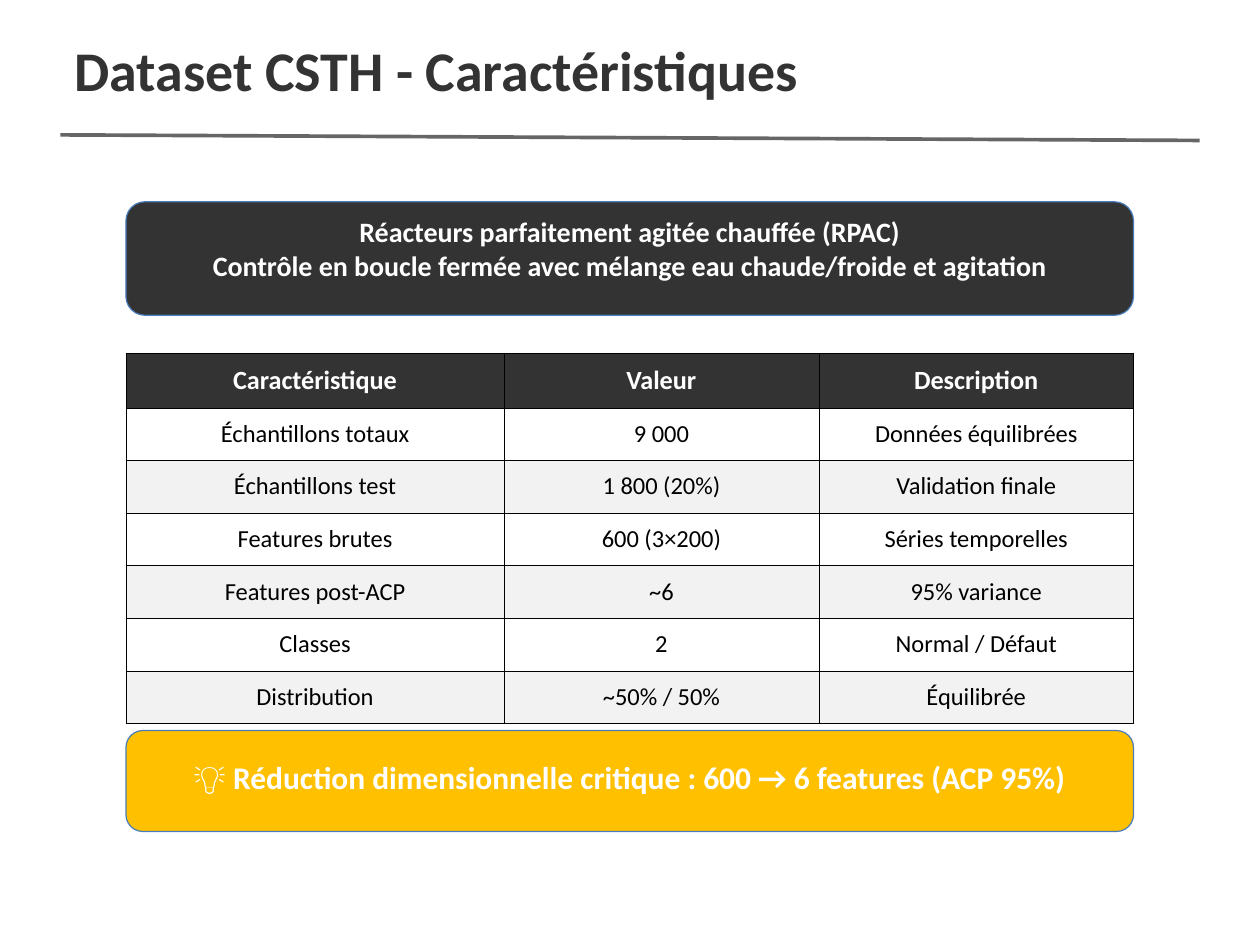
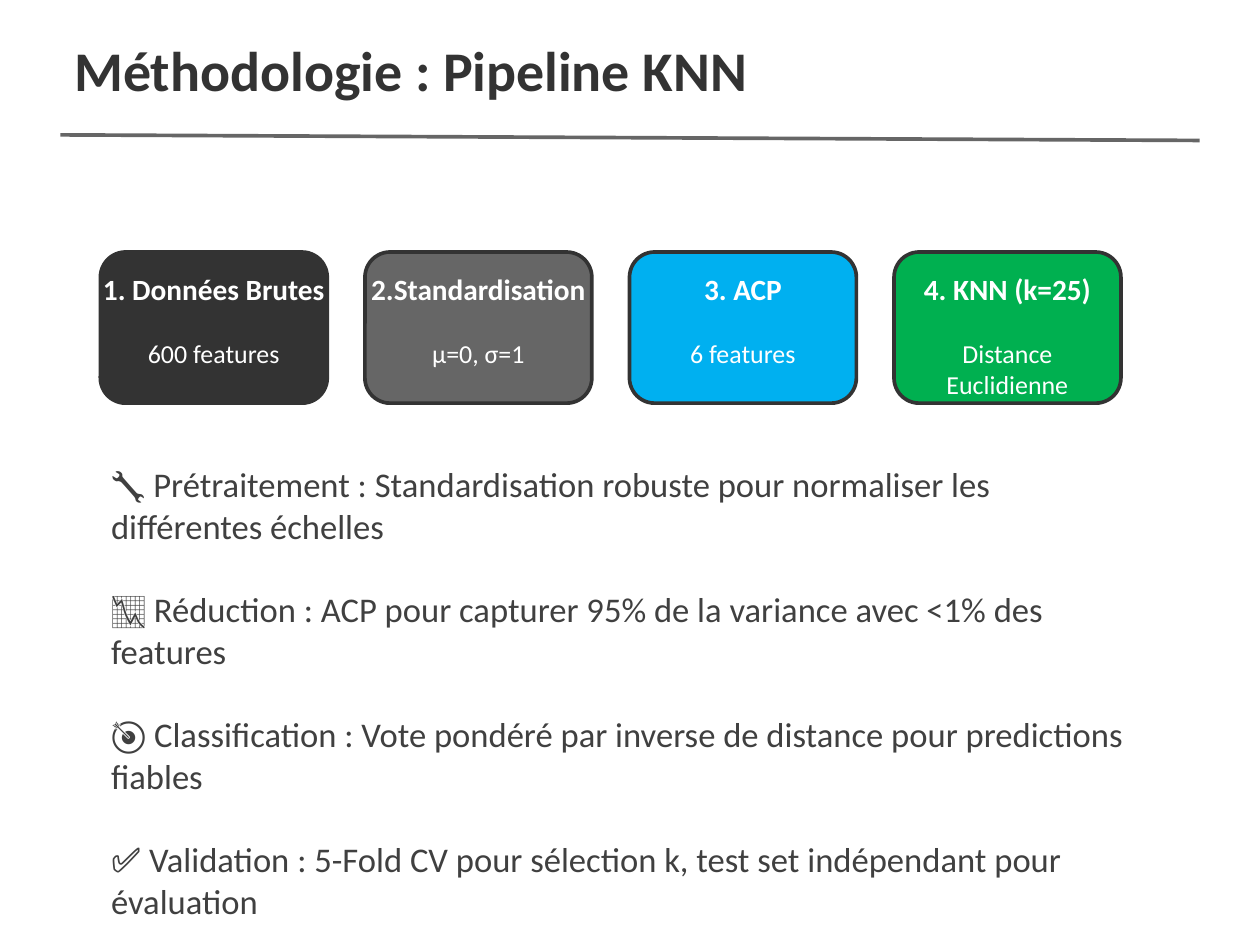
import pptx
import pptx.dml.color
import pptx.enum.shapes
import pptx.enum.text
import pptx.oxml.ns
import pptx.util
from lxml import etree

Cm = pptx.util.Cm
Pt = pptx.util.Pt
RGBColor = pptx.dml.color.RGBColor
CENTER = pptx.enum.text.PP_ALIGN.CENTER
LEFT = pptx.enum.text.PP_ALIGN.LEFT

DARK = RGBColor(0x33, 0x33, 0x33)
GREY = RGBColor(0x66, 0x66, 0x66)
BODY_GREY = RGBColor(0x40, 0x40, 0x40)
BAND_GREY = RGBColor(0xF2, 0xF2, 0xF2)
OUTLINE_BLUE = RGBColor(0x4A, 0x7E, 0xBB)
AMBER = RGBColor(0xFF, 0xC0, 0x00)
SKY = RGBColor(0x00, 0xB0, 0xF0)
GREEN = RGBColor(0x00, 0xB0, 0x50)
WHITE = RGBColor(0xFF, 0xFF, 0xFF)
BLACK = RGBColor(0x00, 0x00, 0x00)


def text_style(size, color, line_spacing, bold=False, alignment=CENTER):
    return {
        "font": {"name": "Calibri", "size": Pt(size), "bold": bold},
        "color": color,
        "paragraph": {"alignment": alignment, "line_spacing": Pt(line_spacing)},
    }


TITLE = text_style(34.1, DARK, 41, True, LEFT)
INTRO = text_style(17.1, WHITE, 20.5, True)
TAKEAWAY = text_style(19.2, WHITE, 23, True)
TABLE_HEADER = text_style(16, WHITE, 19.2, True)
TABLE_BODY = text_style(14.9, BLACK, 17.9)
STEP_HEADING = text_style(17.9, WHITE, 21.5, True)
STEP_DETAIL = text_style(15.8, WHITE, 18.9)
NOTES = text_style(21.1, BODY_GREY, 25.4, alignment=LEFT)

CHARACTERISTICS = [
    ("Caractéristique", "Valeur", "Description"),
    ("Échantillons totaux", "9 000", "Données équilibrées"),
    ("Échantillons test", "1 800 (20%)", "Validation finale"),
    ("Features brutes", "600 (3×200)", "Séries temporelles"),
    ("Features post-ACP", "~6", "95% variance"),
    ("Classes", "2", "Normal / Défaut"),
    ("Distribution", "~50% / 50%", "Équilibrée"),
]

STEPS = [
    ("1. Données Brutes", "600 features", DARK, 4.9, 0.71),
    ("2.Standardisation", "μ=0, σ=1", GREY, 5.08, 0.71),
    ("3. ACP", "6 features", SKY, 3.84, 0.71),
    ("4. KNN (k=25)", "Distance Euclidienne", GREEN, 3.84, 1.37),
]

METHOD_NOTES = [
    "🔧 Prétraitement : Standardisation robuste pour normaliser les différentes échelles",
    "📉 Réduction : ACP pour capturer 95% de la variance avec <1% des features",
    "🎯 Classification : Vote pondéré par inverse de distance pour predictions fiables",
    "✅ Validation : 5-Fold CV pour sélection k, test set indépendant pour évaluation",
]


def apply_values(target, values):
    for name, value in values.items():
        setattr(target, name, value)


def write_paragraphs(frame, lines, style, gap=0):
    for index, line in enumerate(lines):
        paragraph = frame.add_paragraph() if index else frame.paragraphs[0]
        run = paragraph.add_run()
        run.text = line
        apply_values(paragraph, style["paragraph"])
        apply_values(run.font, style["font"])
        run.font.color.rgb = style["color"]
        if index and gap:
            paragraph.space_before = Pt(gap)


def add_text(slide, left, top, width, height, lines, style, gap=0):
    box = slide.shapes.add_textbox(Cm(left), Cm(top), Cm(width), Cm(height))
    frame = box.text_frame
    apply_values(frame, {
        "word_wrap": True, "margin_left": 0, "margin_right": 0,
        "margin_top": 0, "margin_bottom": 0,
    })
    write_paragraphs(frame, lines, style, gap)


def add_rounded_box(slide, left, top, width, height, fill, outline, line_width):
    shape = slide.shapes.add_shape(
        pptx.enum.shapes.MSO_SHAPE.ROUNDED_RECTANGLE,
        Cm(left), Cm(top), Cm(width), Cm(height))
    shape.shadow.inherit = False
    shape.fill.solid()
    shape.fill.fore_color.rgb = fill
    shape.line.color.rgb = outline
    shape.line.width = Pt(line_width)


def add_titled_slide(presentation, title):
    slide = presentation.slides.add_slide(presentation.slide_layouts[6])
    add_text(slide, 1.6, 0.76, 23.88, 2.11, [title], TITLE)
    rule = slide.shapes.add_connector(
        pptx.enum.shapes.MSO_CONNECTOR.STRAIGHT,
        Cm(1.3), Cm(2.9), Cm(25.8), Cm(3.02))
    rule.line.color.rgb = GREY
    rule.line.width = Pt(2.25)
    properties = rule._element.spPr
    etree.SubElement(properties, pptx.oxml.ns.qn("a:effectLst"))
    return slide


def add_cell_borders(cell):
    properties = cell._tc.get_or_add_tcPr()
    for side in ("lnL", "lnR", "lnT", "lnB"):
        border = etree.SubElement(
            properties, pptx.oxml.ns.qn(f"a:{side}"), w=str(Pt(0.37)))
        fill = etree.SubElement(border, pptx.oxml.ns.qn("a:solidFill"))
        etree.SubElement(fill, pptx.oxml.ns.qn("a:srgbClr"), val=str(BLACK))


def fill_cell(cell, row_index):
    if row_index and row_index % 2:
        cell.fill.background()
    else:
        cell.fill.solid()
        cell.fill.fore_color.rgb = BAND_GREY if row_index else DARK


def add_characteristics_table(slide, left, top, column_widths, row_height, rows):
    table = slide.shapes.add_table(
        len(rows), len(column_widths), Cm(left), Cm(top),
        Cm(sum(column_widths)), Cm(row_height * len(rows))).table
    apply_values(table, {"first_row": False, "horz_banding": False})
    for column, width in zip(table.columns, column_widths):
        column.width = Cm(width)
    for row_index, values in enumerate(rows):
        table.rows[row_index].height = Cm(row_height)
        for column_index, value in enumerate(values):
            cell = table.cell(row_index, column_index)
            apply_values(cell, {
                "vertical_anchor": pptx.enum.text.MSO_ANCHOR.MIDDLE,
                "margin_left": Cm(0.25), "margin_right": Cm(0.25),
                "margin_top": Cm(0.25), "margin_bottom": Cm(0.25),
            })
            add_cell_borders(cell)
            fill_cell(cell, row_index)
            style = TABLE_BODY if row_index else TABLE_HEADER
            write_paragraphs(cell.text_frame, [value], style)


def add_banner(slide, top, height, fill, text_top, text_height, lines, style):
    add_rounded_box(slide, 2.71, top, 21.67, height, fill, OUTLINE_BLUE, 0.75)
    add_text(slide, 3.5, text_top, 20.09, text_height, lines, style)


def add_step(slide, left, heading, detail, fill, heading_width, detail_height):
    width, detail_width = 4.88, 3.84
    center = left + width / 2
    add_rounded_box(slide, left, 5.42, width, 3.25, fill, DARK, 2.25)
    add_text(slide, center - heading_width / 2, 5.84, heading_width, 0.84,
             [heading], STEP_HEADING)
    add_text(slide, center - detail_width / 2, 7.26, detail_width, detail_height,
             [detail], STEP_DETAIL)


def build_dataset_slide(presentation):
    slide = add_titled_slide(presentation, "Dataset CSTH - Caractéristiques")
    add_banner(slide, 4.34, 2.44, DARK, 4.62, 1.52, [
        "Réacteurs parfaitement agitée chauffée (RPAC)",
        "Contrôle en boucle fermée avec mélange eau chaude/froide et agitation",
    ], INTRO)
    add_characteristics_table(
        slide, 2.71, 7.59, (8.13, 6.77, 6.77), 1.05, CHARACTERISTICS)
    add_banner(slide, 15.71, 2.17, AMBER, 16.31, 1.5, [
        "💡 Réduction dimensionnelle critique : 600 → 6 features (ACP 95%)",
    ], TAKEAWAY)


def build_pipeline_slide(presentation):
    slide = add_titled_slide(presentation, "Méthodologie : Pipeline KNN")
    for index, step in enumerate(STEPS):
        add_step(slide, 2.16 + index * 5.69, *step)
    add_text(slide, 2.39, 9.96, 22.25, 9.73, METHOD_NOTES, NOTES, gap=25.4)


def main():
    presentation = pptx.Presentation()
    presentation.slide_width = Cm(27.1)
    presentation.slide_height = Cm(20.32)
    build_dataset_slide(presentation)
    build_pipeline_slide(presentation)
    presentation.save("out.pptx")


if __name__ == "__main__":
    main()
